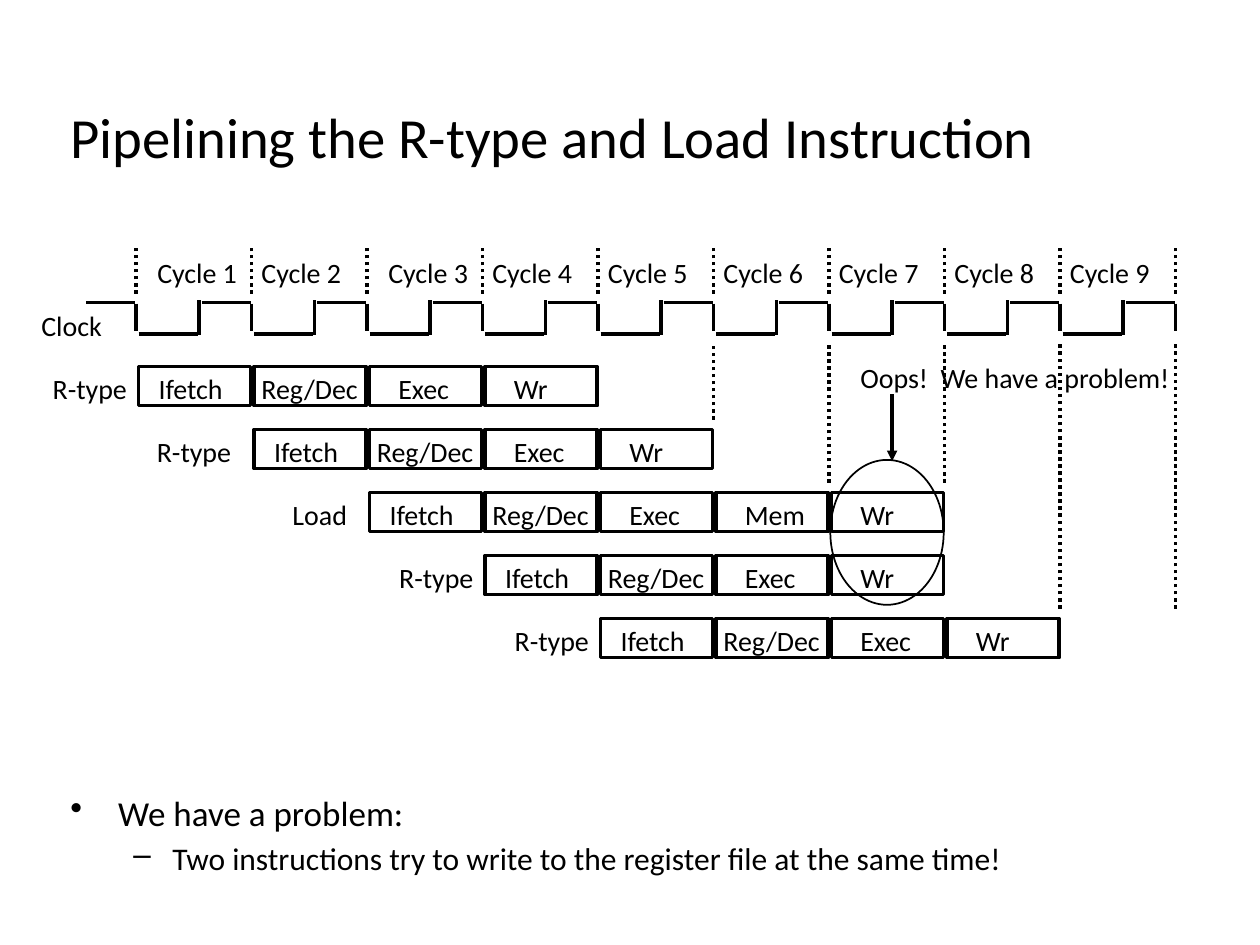
"""Builds a slide on a pipeline hazard between R-type and Load instructions."""
import dataclasses

import lxml.etree
import pptx
import pptx.dml.color
import pptx.enum.dml
import pptx.enum.shapes
import pptx.enum.text
import pptx.oxml.ns
import pptx.util

Inches = pptx.util.Inches
Pt = pptx.util.Pt


@dataclasses.dataclass(frozen=True)
class Theme:
    """Colours, type sizes and line widths of the slide."""
    font: str = "Calibri"
    ink: pptx.dml.color.RGBColor = pptx.dml.color.RGBColor(0, 0, 0)
    title: float = 32.4
    body: int = 20
    detail: int = 18
    label: int = 16
    heavy: int = 2
    fine: int = 1


THEME = Theme()
CYCLES = 9
CYCLE_LABEL_SHIFTS = {0: 0.07, 2: 0.07}
STAGES = {
    "Ifetch": (0.08, 0.72),
    "Reg/Dec": (-0.02, 0.99),
    "Exec": (0.15, 0.61),
    "Mem": (0.15, 0.69),
    "Wr": (0.15, 0.47),
}
R_TYPE = ("Ifetch", "Reg/Dec", "Exec", "Wr")
LOAD = ("Ifetch", "Reg/Dec", "Exec", "Mem", "Wr")
INSTRUCTIONS = [
    ("R-type", 0.76, 0.8, R_TYPE),
    ("R-type", 0.85, 0.8, R_TYPE),
    ("Load", 0.69, 0.64, LOAD),
    ("R-type", 0.76, 0.8, R_TYPE),
    ("R-type", 0.76, 0.8, R_TYPE),
]
GUIDE_BOTTOMS = {5: 3.33, 6: 3.83, 7: 3.83, 8: 4.83, 9: 4.83}
BULLETS = [
    ("We have a problem:", "•", 0.38, 0.38, THEME.body),
    ("Two instructions try to write to the register file at the same time!",
     "–", 0.81, 0.31, THEME.detail),
]


def style_font(paragraph, size):
    """Set the theme font, colour and the given size on a paragraph."""
    paragraph.font.name = THEME.font
    paragraph.font.size = Pt(size)
    paragraph.font.color.rgb = THEME.ink


def add_label(shapes, text, left, top, width, height=0.37):
    """Add a one-line label that fits its text."""
    frame = shapes.add_textbox(Inches(left), Inches(top), Inches(width), Inches(height)).text_frame
    frame.word_wrap = False
    frame.auto_size = pptx.enum.text.MSO_AUTO_SIZE.SHAPE_TO_FIT_TEXT
    frame.text = text
    style_font(frame.paragraphs[0], THEME.label)


def add_line(shapes, start_x, start_y, end_x, end_y, dotted=False):
    """Add a straight line, solid or dotted, and return it."""
    line = shapes.add_connector(
        pptx.enum.shapes.MSO_CONNECTOR.STRAIGHT,
        Inches(start_x), Inches(start_y), Inches(end_x), Inches(end_y))
    line.line.color.rgb = THEME.ink
    line.line.width = Pt(THEME.heavy)
    if dotted:
        line.line.dash_style = pptx.enum.dml.MSO_LINE.ROUND_DOT
    lxml.etree.SubElement(line._element.spPr, pptx.oxml.ns.qn("a:effectLst"))
    return line


def add_outline(shapes, kind, left, top, width, height, weight):
    """Add an unfilled preset shape with a theme outline."""
    shape = shapes.add_shape(kind, Inches(left), Inches(top), Inches(width), Inches(height))
    shape.shadow.inherit = False
    shape.fill.background()
    shape.line.color.rgb = THEME.ink
    shape.line.width = Pt(weight)


def add_title(slide, left, top, width, height):
    """Place the slide title in the given box."""
    frame = slide.shapes.add_textbox(
        Inches(left), Inches(top), Inches(width), Inches(height)).text_frame
    frame.word_wrap = True
    frame.vertical_anchor = pptx.enum.text.MSO_ANCHOR.MIDDLE
    frame.text = "Pipelining the R-type and Load Instruction"
    frame.paragraphs[0].alignment = pptx.enum.text.PP_ALIGN.JUSTIFY
    style_font(frame.paragraphs[0], THEME.title)


def add_bullets(slide, left, top, width, height):
    """Place the bulleted conclusion in the given box."""
    frame = slide.shapes.add_textbox(
        Inches(left), Inches(top), Inches(width), Inches(height)).text_frame
    frame.word_wrap = True
    for level, (text, mark, margin, hanging, size) in enumerate(BULLETS):
        paragraph = frame.add_paragraph() if level else frame.paragraphs[0]
        paragraph.text = text
        paragraph.level = level
        properties = paragraph._p.get_or_add_pPr()
        properties.set("marL", str(Inches(margin)))
        properties.set("indent", str(-Inches(hanging)))
        bullet = lxml.etree.SubElement(properties, pptx.oxml.ns.qn("a:buChar"))
        bullet.set("char", mark)
        if level:
            paragraph.space_before = Pt(0.2 * size)
        style_font(paragraph, size)


def add_clock(slide, left, top, pitch):
    """Draw the clock wave, its cycle labels and the dotted cycle guides."""
    shapes = slide.shapes
    add_label(shapes, "Clock", left - 0.85, top + 0.43, 0.69)
    wave = shapes.add_group_shape().shapes
    high, low = top + 0.43, top + 0.68
    for cycle in range(-1, CYCLES + 1):
        edge = left + cycle * pitch
        if cycle >= 0:
            add_line(wave, edge, high + 0.01, edge, low - 0.02)
            add_line(shapes, edge, top + 0.36, edge, top, dotted=True)
        if cycle < CYCLES:
            add_line(wave, edge + 0.52, high, edge + 0.91, high)
        if 0 <= cycle < CYCLES:
            add_line(wave, edge + 0.02, low, edge + 0.49, low)
            add_line(wave, edge + 0.5, low + 0.01, edge + 0.5, high - 0.02)
            shift = CYCLE_LABEL_SHIFTS.get(cycle, -0.02)
            add_label(shapes, f"Cycle {cycle + 1}", edge + shift, top + 0.01, 0.84)
    for cycle, bottom in GUIDE_BOTTOMS.items():
        edge = left + cycle * pitch
        add_line(shapes, edge, bottom, edge, top + 0.75, dotted=True)


def add_pipeline(slide, left, top, pitch, row_height):
    """Draw one staggered row of stages for each instruction."""
    for row, (name, label_gap, label_width, stages) in enumerate(INSTRUCTIONS):
        row_top = top + row * row_height
        row_left = left + row * pitch
        add_label(slide.shapes, name, row_left - label_gap, row_top, label_width)
        for column, stage in enumerate(stages):
            stage_left = row_left + column * pitch
            shift, width = STAGES[stage]
            group = slide.shapes.add_group_shape().shapes
            add_outline(group, pptx.enum.shapes.MSO_SHAPE.RECTANGLE,
                        stage_left + 0.02, row_top + 0.01, 0.89, 0.31, THEME.heavy)
            add_label(group, stage, stage_left + shift, row_top, width)


def add_conflict(slide, left, top, width, height):
    """Circle the two clashing writes and point the warning at them."""
    add_outline(slide.shapes, pptx.enum.shapes.MSO_SHAPE.OVAL,
                left, top, width, height, THEME.fine)
    arrow = add_line(slide.shapes, left + 0.49, top - 0.52, left + 0.49, top + 0.01)
    head = lxml.etree.SubElement(arrow.line._get_or_add_ln(), pptx.oxml.ns.qn("a:tailEnd"))
    head.set("type", "triangle")
    add_label(slide.shapes, "Oops!  We have a problem!", left + 0.14, top - 0.84, 2.69)


def main():
    """Build and save the slide."""
    presentation = pptx.Presentation()
    presentation.slide_width = Inches(10)
    presentation.slide_height = Inches(7.5)
    slide = presentation.slides.add_slide(presentation.slide_layouts[6])
    left, pitch = 1.08, 8.25 / CYCLES
    add_title(slide, 0.46, 0.83, 9.2, 0.5)
    add_bullets(slide, 0.46, 6.23, 8.96, 0.69)
    add_clock(slide, left, 1.97, pitch)
    add_pipeline(slide, left, 2.9, pitch, 0.5)
    add_conflict(slide, 6.59, 3.65, 0.9, 1.15)
    presentation.save("out.pptx")


if __name__ == "__main__":
    main()
